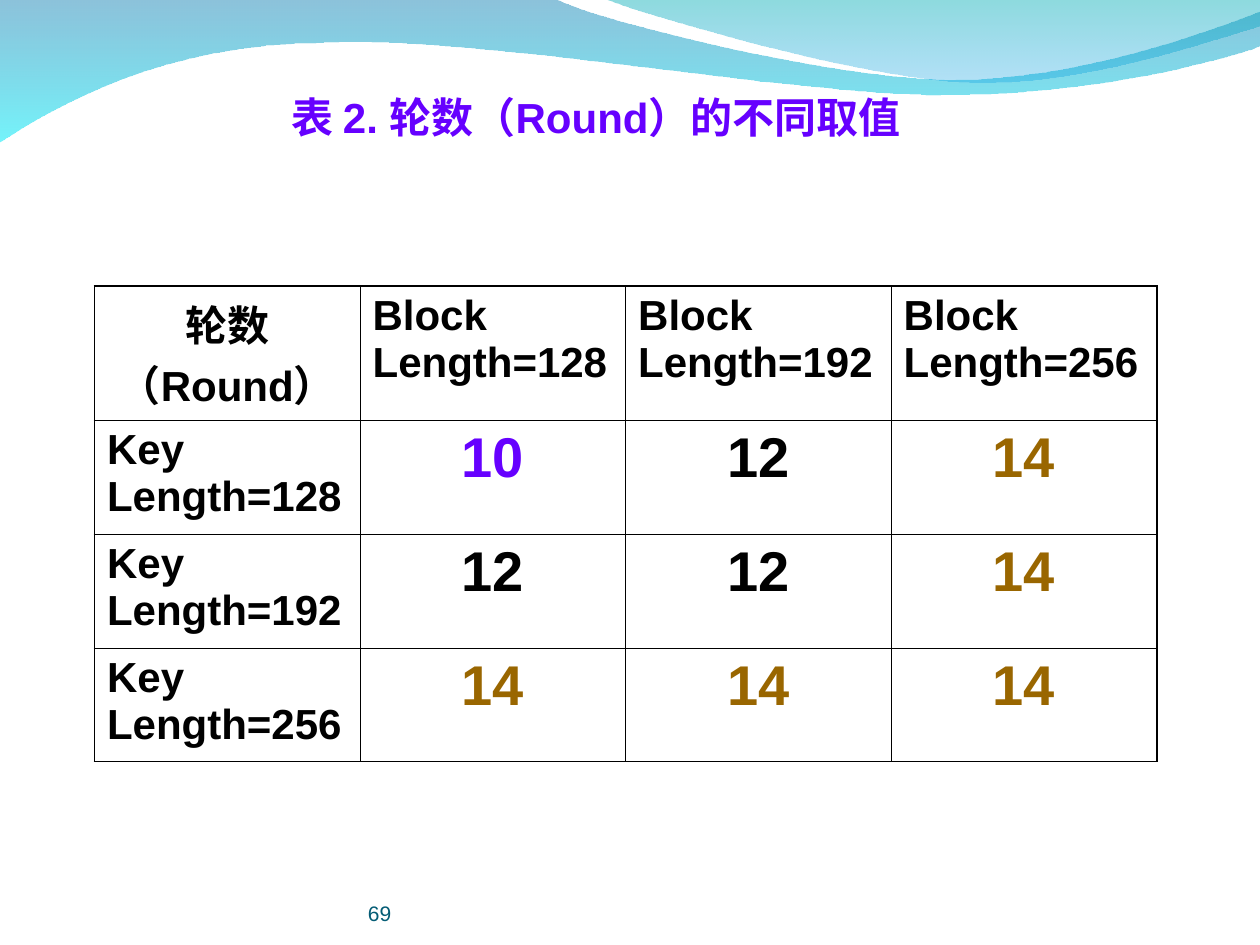
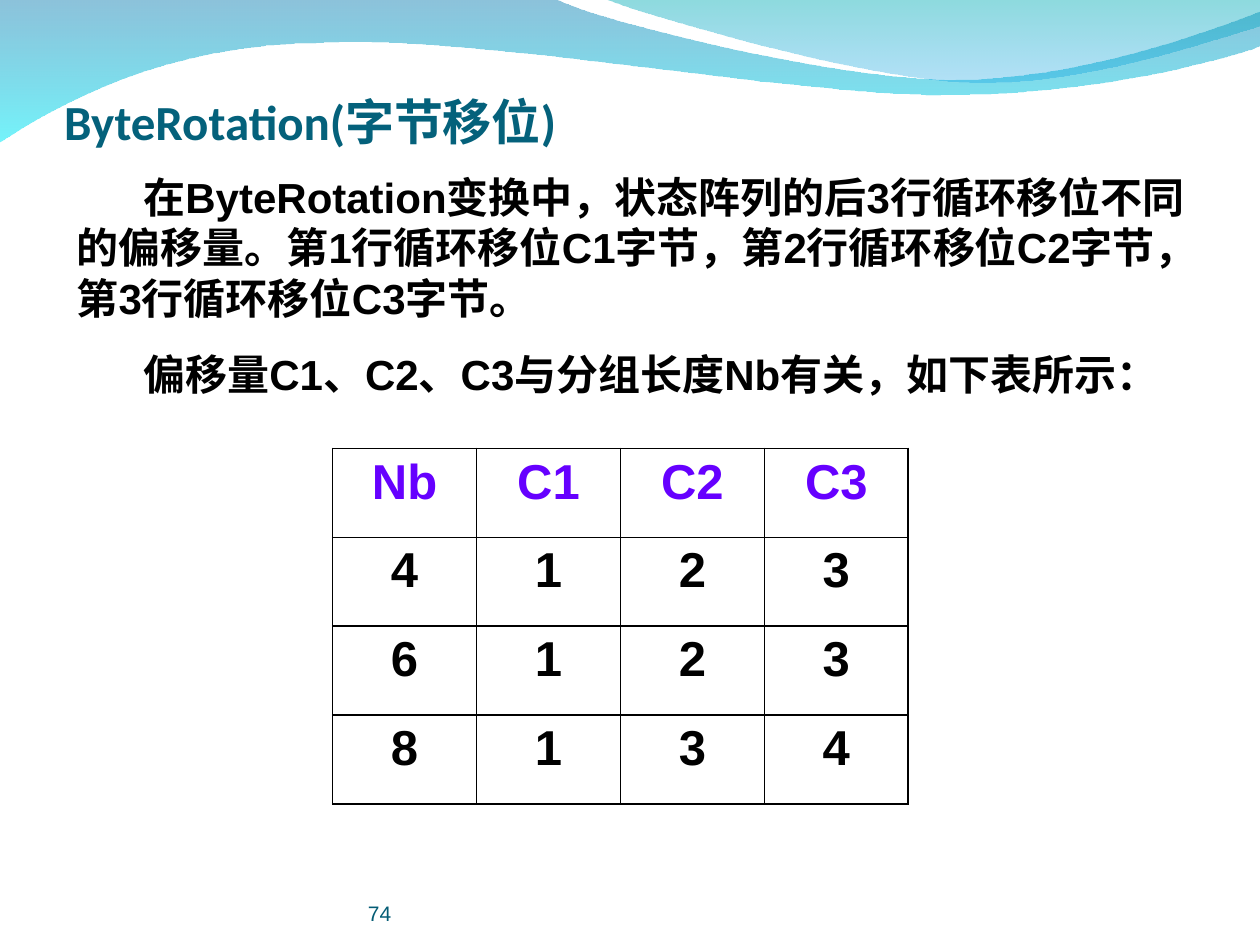
from lxml import etree
from pptx import Presentation
from pptx.dml.color import RGBColor
from pptx.enum.text import MSO_ANCHOR, MSO_AUTO_SIZE, PP_ALIGN
from pptx.oxml.ns import qn
from pptx.util import Inches, Pt

LEFT, CENTER = PP_ALIGN.LEFT, PP_ALIGN.CENTER
TOP, BOTTOM = MSO_ANCHOR.TOP, MSO_ANCHOR.BOTTOM
FIT_SHAPE = MSO_AUTO_SIZE.SHAPE_TO_FIT_TEXT

BLACK, PURPLE, BROWN = "000000", "6600FF", "996600"
TITLE_TEAL, NUMBER_TEAL = "04617B", "045C75"
PADDING = (0.1, 0.05, 0.1, 0.05)
NO_PADDING = (0, 0, 0, 0)


def color(hex_value):
    return RGBColor.from_string(hex_value)


def add_text(text_frame, text, size, hex_value, bold=True, font="Arial", align=LEFT):
    text_frame.text = text
    for paragraph in text_frame.paragraphs:
        paragraph.alignment = align
        for run in paragraph.runs:
            run.font.name = font
            run.font.size = Pt(size)
            run.font.bold = bold
            run.font.color.rgb = color(hex_value)


bands = [
    {
        "start": (0, -0.01),
        "segments": [
            [(4.4, -0.01)],
            [(4.76, 0.17), (6.64, 0.63), (7.58, 0.63)],
            [(8.53, 0.63), (9.58, 0.26), (10, 0.09)],
            [(10.01, 0.36)],
            [(9.83, 0.44), (8.7, 0.76), (7.46, 0.75)],
            [(6.22, 0.75), (3.82, 0.28), (2.57, 0.34)],
            [(1.29, 0.35), (0.46, 0.83), (-0.01, 1.13)],
            [(0, -0.01)],
        ],
        "stops": [("0079AF", 45), ("00EBF8", 55)],
    },
    {
        "start": (4.79, -0.01),
        "segments": [
            [(5.09, 0.11), (6.82, 0.62), (7.69, 0.65)],
            [(8.56, 0.69), (9.61, 0.32), (10, 0.21)],
            [(10, 0)],
            [(4.79, -0.01)],
        ],
        "stops": [("00ADB6", 45), ("009BE5", 30)],
    },
]

key_lengths = (128, 192, 256)
rounds = (("10", "12", "14"), ("12", "12", "14"), ("14", "14", "14"))
round_rows = [["轮数（Round）"] + [f"Block Length={length}" for length in key_lengths]]
for length, counts in zip(key_lengths, rounds):
    round_rows.append([f"Key Length={length}", *counts])

pages = [
    {
        "number": "69",
        "title": {
            "text": "表 2. 轮数（Round）的不同取值", "box": (2.09, 0.68, 5.28, 0.9),
            "size": 24, "color": PURPLE, "font": "Arial", "align": CENTER,
            "anchor": TOP, "padding": PADDING,
        },
        "rows": round_rows,
        "table_box": (0.75, 2.27, 8.43, 3.61),
        "label_size": 24, "value_size": 32,
        "colors": {"10": PURPLE, "14": BROWN},
        "outer_line": 1.08, "inner_line": 0.45,
        "body": [],
    },
    {
        "number": "74",
        "title": {
            "text": "ByteRotation(字节移位)", "box": (0.51, 0.4, 9, 0.79),
            "size": 28, "color": TITLE_TEAL, "font": "Calibri", "align": LEFT,
            "anchor": BOTTOM, "padding": (0, 0.05, 0, 0),
        },
        "rows": [["Nb", "C1", "C2", "C3"], list("4123"), list("6123"), list("8134")],
        "table_box": (2.64, 3.56, 4.57, 2.82),
        "label_size": 28, "value_size": 28,
        "colors": dict.fromkeys(["Nb", "C1", "C2", "C3"], PURPLE),
        "outer_line": 1.08, "inner_line": 1.08,
        "body": [
            "在ByteRotation变换中，状态阵列的后3行循环移位不同的偏移量。"
            "第1行循环移位C1字节，第2行循环移位C2字节，第3行循环移位C3字节。",
            "偏移量C1、C2、C3与分组长度Nb有关，如下表所示：",
        ],
    },
]

presentation = Presentation()
presentation.slide_width = Inches(10)
presentation.slide_height = Inches(7.5)
blank_layout = presentation.slide_layouts[6]

for page in pages:
    slide = presentation.slides.add_slide(blank_layout)

    for band in bands:
        builder = slide.shapes.build_freeform(*map(Inches, band["start"]))
        points = [point for segment in band["segments"] for point in segment]
        builder.add_line_segments([(Inches(x), Inches(y)) for x, y in points], close=True)
        shape = builder.convert_to_shape()
        lines = iter(list(shape._element.spPr.iter(qn("a:lnTo"))))
        for segment in band["segments"]:
            segment_lines = [next(lines) for point in segment]
            if len(segment) == 3:
                curve = etree.Element(qn("a:cubicBezTo"))
                segment_lines[0].addprevious(curve)
                for line in segment_lines:
                    curve.append(line[0])
                    line.getparent().remove(line)
        shape.shadow.inherit = False
        shape.line.fill.background()
        shape.fill.gradient()
        shape.fill.gradient_angle = 270
        for stop, (hex_value, opacity) in zip(shape.fill.gradient_stops, band["stops"]):
            stop.color.rgb = color(hex_value)
        stop_colors = shape._element.spPr.iter(qn("a:srgbClr"))
        for stop_color, (hex_value, opacity) in zip(stop_colors, band["stops"]):
            etree.SubElement(stop_color, qn("a:alpha"), val=str(opacity * 1000))

    rows = page["rows"]
    row_count, column_count = len(rows), len(rows[0])
    frame = slide.shapes.add_table(row_count, column_count, *map(Inches, page["table_box"]))
    table = frame.table
    table.first_row = False
    table.horz_banding = False
    for row_index, row in enumerate(rows):
        for column_index, text in enumerate(row):
            cell = table.cell(row_index, column_index)
            size = page["value_size"] if text.isdigit() else page["label_size"]
            align = LEFT if "Length" in text else CENTER
            add_text(cell.text_frame, text, size, page["colors"].get(text, BLACK), align=align)
            on_edge = {
                "a:lnL": column_index == 0,
                "a:lnR": column_index == column_count - 1,
                "a:lnT": row_index == 0,
                "a:lnB": row_index == row_count - 1,
            }
            properties = cell._tc.get_or_add_tcPr()
            for side, is_outer in on_edge.items():
                width = page["outer_line"] if is_outer else page["inner_line"]
                border = etree.SubElement(properties, qn(side), w=str(Pt(width)))
                border_fill = etree.SubElement(border, qn("a:solidFill"))
                etree.SubElement(border_fill, qn("a:srgbClr"), val=BLACK)
            cell.fill.background()

    texts = [page["title"], {
        "text": page["number"], "box": (2.92, 6.95, 3.67, 0.4),
        "size": 12, "color": NUMBER_TEAL, "font": "Arial", "align": LEFT,
        "anchor": BOTTOM, "padding": NO_PADDING, "bold": False,
    }]
    if page["body"]:
        texts.append({
            "text": "\n".join(page["body"]), "box": (0.51, 1.31, 9.06, 2.31),
            "size": 24, "color": BLACK, "font": "Arial", "align": LEFT,
            "anchor": TOP, "padding": PADDING, "indent": 0.53,
        })

    for item in texts:
        text_frame = slide.shapes.add_textbox(*map(Inches, item["box"])).text_frame
        text_frame.word_wrap = True
        text_frame.vertical_anchor = item["anchor"]
        (text_frame.margin_left, text_frame.margin_top,
         text_frame.margin_right, text_frame.margin_bottom) = map(Inches, item["padding"])
        if item["padding"] == PADDING:
            text_frame.auto_size = FIT_SHAPE
        add_text(text_frame, item["text"], item["size"], item["color"],
                 item.get("bold", True), item["font"], item["align"])
        for index, paragraph in enumerate(text_frame.paragraphs):
            if "indent" in item:
                properties = paragraph._p.get_or_add_pPr()
                properties.set("marL", "0")
                properties.set("indent", str(Inches(item["indent"])))
            if index > 0:
                paragraph.space_before = Pt(15)

presentation.save("out.pptx")
